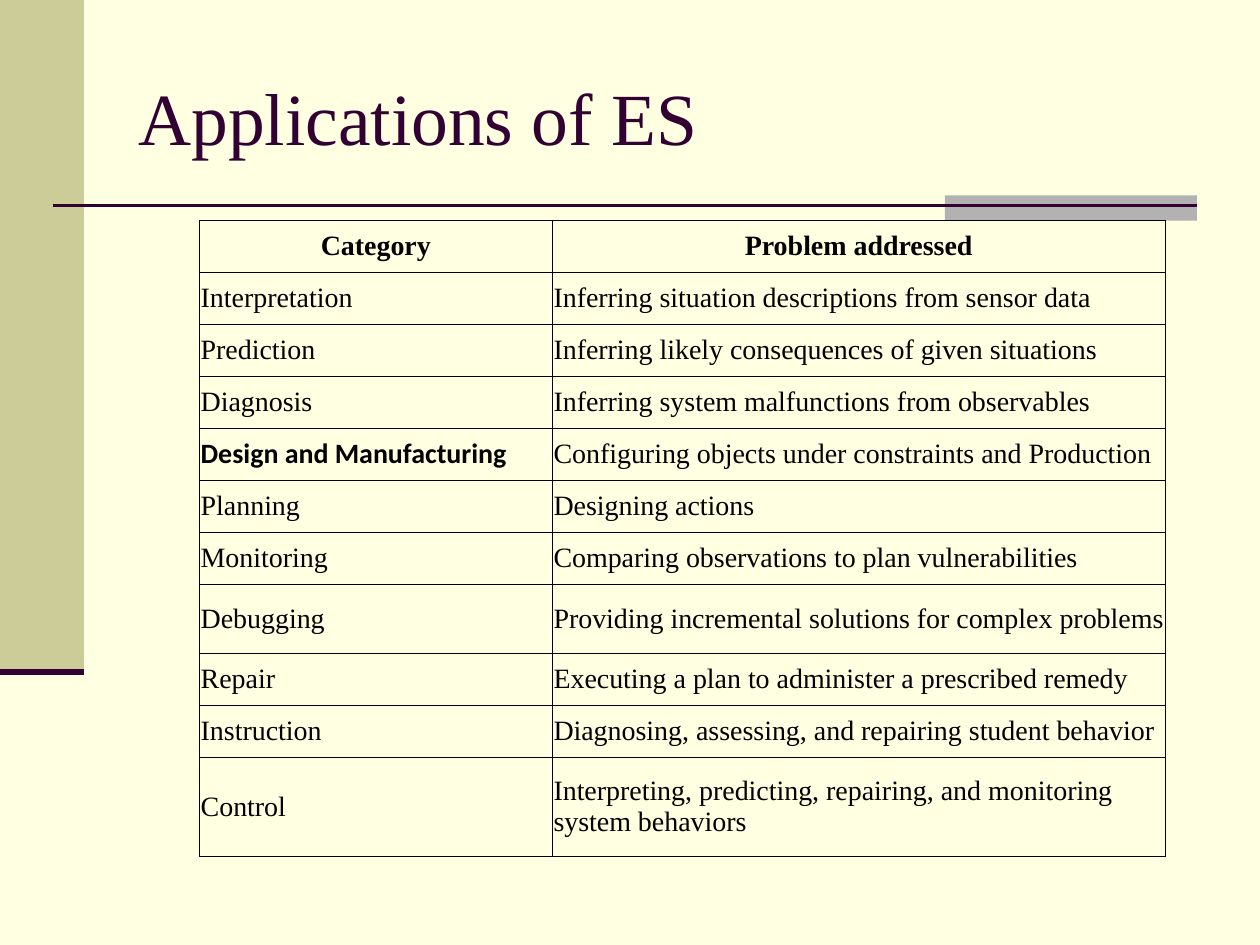
from lxml.etree import SubElement
from pptx import Presentation
from pptx.dml.color import RGBColor
from pptx.enum.shapes import MSO_CONNECTOR, MSO_SHAPE
from pptx.enum.text import MSO_ANCHOR, PP_ALIGN
from pptx.oxml import parse_xml
from pptx.oxml.ns import nsdecls, qn
from pptx.util import Inches, Pt

CREAM = RGBColor(0xFF, 0xFF, 0xE1)
KHAKI = RGBColor(0xCC, 0xCC, 0x99)
GRAY = RGBColor(0xB2, 0xB2, 0xB2)
PLUM = RGBColor(0x33, 0x00, 0x33)
BLACK = RGBColor(0x00, 0x00, 0x00)
SERIF = "Times New Roman"

prs = Presentation()
prs.slide_width, prs.slide_height = Inches(10), Inches(7.5)
s = prs.slides.add_slide(prs.slide_layouts[6])
s.background.fill.solid()
s.background.fill.fore_color.rgb = CREAM


# Lengths are percentages of the slide's width and height
def box(left, top, width, height):
    w, h = prs.slide_width / 100, prs.slide_height / 100
    return int(left * w), int(top * h), int(width * w), int(height * h)


def add_text(p, text, size, color, font=SERIF, bold=False):
    r = p.add_run()
    r.text = text
    r.font.name, r.font.size, r.font.bold = font, Pt(size), bold
    r.font.color.rgb = color


# Side band and accent block
for area, color in [((0, 0, 6.67, 71.11), KHAKI), ((75, 20.67, 20, 2.67), GRAY)]:
    sp = s.shapes.add_shape(MSO_SHAPE.RECTANGLE, *box(*area))
    sp.shadow.inherit = False
    sp.fill.solid()
    sp.fill.fore_color.rgb = color
    sp.line.fill.background()

# Rule under the title and rule closing the side band
for left, top, width, weight in [(4.17, 21.75, 90.83, 1.5), (0, 71.11, 6.67, 3.5)]:
    x, y, length, _ = box(left, top, width, 0)
    rule = s.shapes.add_connector(MSO_CONNECTOR.STRAIGHT, x, y, x + length, y)
    rule.line.color.rgb = PLUM
    rule.line.width = Pt(weight)
    SubElement(rule._element.spPr, qn("a:effectLst"))

# Title
tf = s.shapes.add_textbox(*box(10, 4, 85, 16.67)).text_frame
tf.word_wrap = True
tf.vertical_anchor = MSO_ANCHOR.MIDDLE
add_text(tf.paragraphs[0], "Applications of ES", 42, PLUM)

# Table of categories
ROWS = [
    ("Category", "Problem addressed"),
    ("Interpretation", "Inferring situation descriptions from sensor data"),
    ("Prediction", "Inferring likely consequences of given situations"),
    ("Diagnosis", "Inferring system malfunctions from observables"),
    ("Design and Manufacturing", "Configuring objects under constraints and Production"),
    ("Planning", "Designing actions"),
    ("Monitoring", "Comparing observations to plan vulnerabilities"),
    ("Debugging", "Providing incremental solutions for complex problems"),
    ("Repair", "Executing a plan to administer a prescribed remedy"),
    ("Instruction", "Diagnosing, assessing, and repairing student behavior"),
    ("Control", "Interpreting, predicting, repairing, and monitoring system behaviors"),
]
COLUMN_WIDTHS = [28, 48.65]
ROW_HEIGHT = 5.5
TALL_ROWS = {"Debugging": 7.33, "Control": 10.5}
heights = [TALL_ROWS.get(category, ROW_HEIGHT) for category, _ in ROWS]

frame = s.shapes.add_table(len(ROWS), len(COLUMN_WIDTHS),
                           *box(15.83, 23.33, sum(COLUMN_WIDTHS), sum(heights)))
table = frame.table
table.horz_banding = False
for column, width in zip(table.columns, COLUMN_WIDTHS):
    column.width = box(0, 0, width, 0)[2]
for row, height in zip(table.rows, heights):
    row.height = box(0, 0, 0, height)[3]

for i, row in enumerate(ROWS):
    for j, text in enumerate(row):
        cell = table.cell(i, j)
        cell.fill.background()
        cell.vertical_anchor = MSO_ANCHOR.MIDDLE
        cell.margin_left = cell.margin_right = Inches(0.01)
        cell.margin_top = cell.margin_bottom = Inches(0.05)
        p = cell.text_frame.paragraphs[0]
        p.alignment = PP_ALIGN.CENTER if i == 0 else PP_ALIGN.LEFT
        emphasis = text == "Design and Manufacturing"
        add_text(p, text, 16, BLACK, "Calibri" if emphasis else SERIF, i == 0 or emphasis)
        # Thin border on all four sides, placed ahead of the fill
        for k, side in enumerate("LRTB"):
            cell._tc.get_or_add_tcPr().insert(k, parse_xml(
                f'<a:ln{side} {nsdecls("a")} w="{Pt(0.45)}"><a:solidFill>'
                f'<a:srgbClr val="{BLACK}"/></a:solidFill></a:ln{side}>'))

prs.save("out.pptx")
